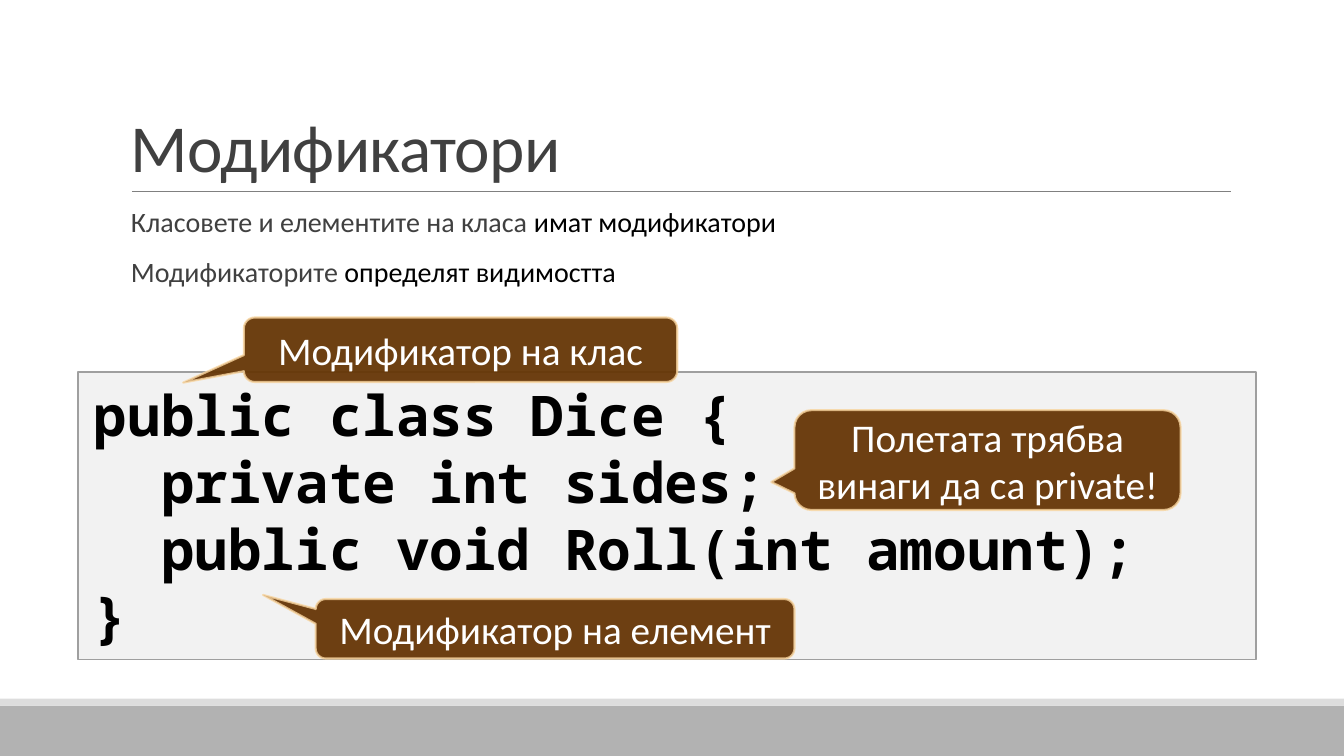
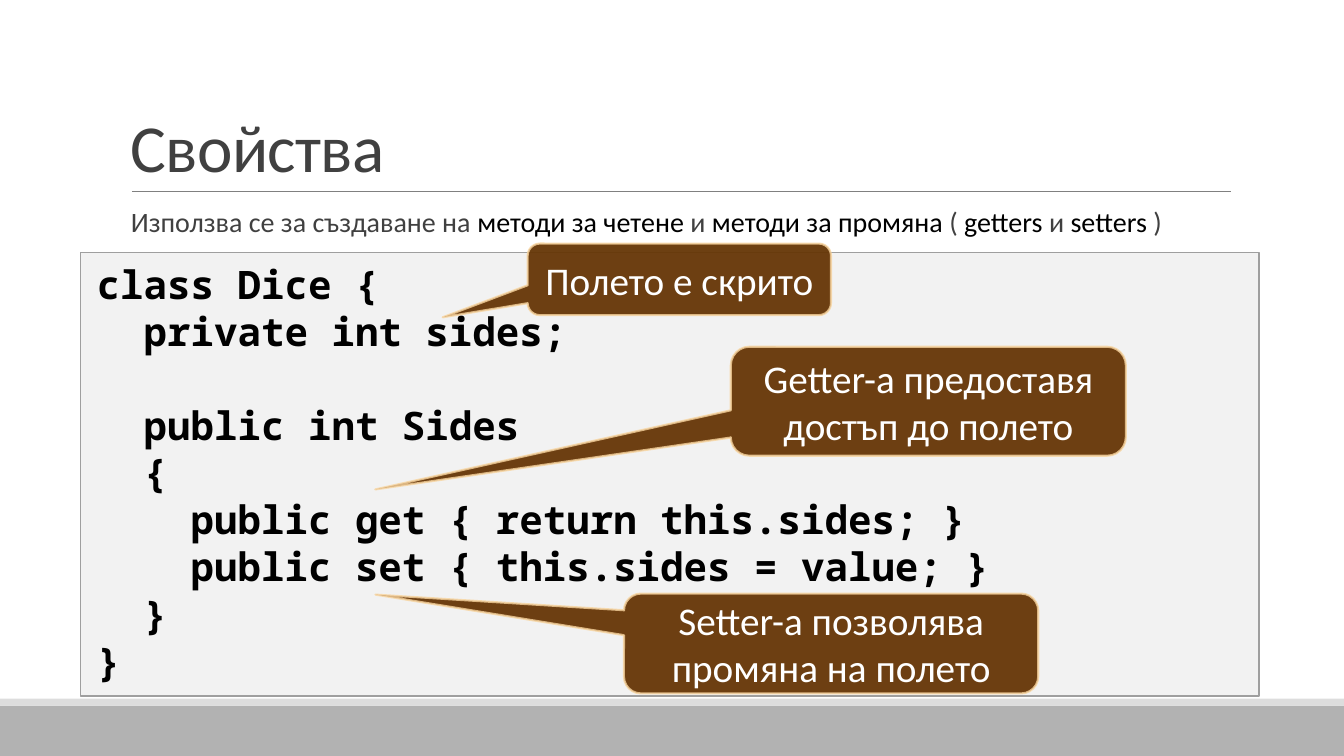
"""Two slides on class modifiers and properties, with annotated code."""
from dataclasses import dataclass

from lxml import etree
from pptx import Presentation
from pptx import util as u
from pptx.dml.color import RGBColor
from pptx.enum import shapes, text
from pptx.oxml.ns import qn

Pt = u.Pt


@dataclass(frozen=True)
class Theme:
    font: str = "Calibri"
    mono: str = "Noto Sans Mono"
    title: int = 48
    body: int = 20
    note: int = 28
    code_leading: float = 1.2
    ink: str = "404040"
    strong: str = "000000"
    white: str = "FFFFFF"
    rule: str = "808080"
    band: str = "B2B2B2"
    strip: str = "DDDDDD"
    panel: str = "BFBFBF"
    panel_line: str = "9F9F9F"
    callout: str = "663606"
    callout_line: str = "F8D49E"


T = Theme()
KIND = shapes.MSO_SHAPE


def add_text(tf, paras, size, font=T.font, bold=False, align=text.PP_ALIGN.LEFT,
             anchor=text.MSO_ANCHOR.TOP, inset=(7.2, 3.6), leading=None,
             before=0, after=0, tracking=0):
    """Fill a frame with paragraphs, each a list of (text, colour) runs."""
    tf.word_wrap = True
    tf.vertical_anchor = anchor
    tf.margin_left = tf.margin_right = Pt(inset[0])
    tf.margin_top = tf.margin_bottom = Pt(inset[1])
    gap = before
    for i, runs in enumerate(paras):
        if not runs:
            gap = before + leading.pt
            continue
        p = tf.add_paragraph() if i else tf.paragraphs[0]
        p.alignment = align
        p.line_spacing = leading
        p.space_before, p.space_after = Pt(gap), Pt(after)
        gap = before
        for words, colour in runs:
            r = p.add_run()
            r.text = words
            r.font.name, r.font.size, r.font.bold = font, Pt(size), bold
            r.font.color.rgb = RGBColor.from_string(colour)
            if tracking:
                r.font._element.set("spc", str(int(tracking * 100)))


def add_box(s, kind, box, fill, line=None, width=1, fill_alpha=100, line_alpha=100):
    """Add a flat shape with optional outline and opacity in percent."""
    sp = s.shapes.add_shape(kind, *map(Pt, box))
    sp.shadow.inherit = False
    paints = [(sp.fill, fill, fill_alpha)]
    sp.line.fill.background()
    if line:
        sp.line.width = Pt(width)
        paints.append((sp.line.fill, line, line_alpha))
    for paint, colour, alpha in paints:
        paint.solid()
        paint.fore_color.rgb = RGBColor.from_string(colour)
    for clr, (_, _, alpha) in zip(sp._element.spPr.iter(qn("a:srgbClr")), paints):
        if alpha < 100:
            etree.SubElement(clr, qn("a:alpha")).set("val", str(alpha * 1000))
    return sp


slides = [
    dict(
        title="Модификатори",
        body=[
            [("Класовете и елементите на класа ", T.ink), ("имат модификатори", T.strong)],
            [("Модификаторите ", T.ink), ("определят видимостта", T.strong)],
        ],
        panel=(55.6, 265.7, 841.7, 205.2),
        code_size=40,
        code="public class Dice {\n  private int sides;\n  public void Roll(int amount);\n}",
        callouts=[
            ("Модификатор на клас", (174.2, 226.8, 309.6, 46.1), (-0.64, 0.51)),
            ("Модификатор на елемент", (225.5, 427.9, 342, 42.5), (-0.61, -0.57)),
            ("Полетата трябва винаги да са private!", (567.5, 293, 275.8, 71.3), (-0.56, 0.22)),
        ],
    ),
    dict(
        title="Свойства",
        body=[[
            ("Използва се за създаване на ", T.ink), ("методи за четене ", T.strong),
            ("и ", T.ink), ("методи за промяна ", T.strong), ("( ", T.ink),
            ("getters ", T.strong), ("и ", T.ink), ("setters ", T.strong), (")", T.ink),
        ]],
        panel=(57.6, 180.4, 841.7, 316.8),
        code_size=28,
        code="""class Dice {
  private int sides;

  public int Sides
  {
    public get { return this.sides; }
    public set { this.sides = value; }
  }
}""",
        callouts=[
            ("Полето е скрито", (376.9, 174, 216.7, 51.1), (-0.78, 0.53)),
            ("Getter-а предоставя достъп до полето", (522, 247.7, 282.2, 77.8), (-1.4, 0.81)),
            ("Setter-а позволява промяна на полето", (445.7, 424, 295.9, 71.3), (-1.1, -0.49)),
        ],
    ),
]

prs = Presentation()
prs.slide_width, prs.slide_height = Pt(960), Pt(540)

for page in slides:
    s = prs.slides.add_slide(prs.slide_layouts[6])

    add_box(s, KIND.RECTANGLE, (0, 504, 960, 36), T.band)
    add_box(s, KIND.RECTANGLE, (0, 499, 960, 5), T.strip)
    rule = s.shapes.add_connector(shapes.MSO_CONNECTOR.STRAIGHT,
                                  Pt(94.3), Pt(136.8), Pt(879.1), Pt(136.8))
    rule.line.color.rgb = RGBColor.from_string(T.rule)
    rule.line.width = Pt(0.5)
    etree.SubElement(rule._element.spPr, qn("a:effectLst"))

    title = s.shapes.add_textbox(Pt(86.4), Pt(22.3), Pt(792), Pt(114.5))
    add_text(title.text_frame, [[(page["title"], T.ink)]], T.title,
             anchor=text.MSO_ANCHOR.BOTTOM, leading=0.85, tracking=-0.5)
    body = s.shapes.add_textbox(Pt(86.4), Pt(145.4), Pt(792), Pt(316.8))
    add_text(body.text_frame, page["body"], T.body, leading=0.9, before=12, after=2)

    panel = add_box(s, KIND.RECTANGLE, page["panel"], T.panel, T.panel_line, fill_alpha=20)
    code = [[(row, T.strong)] if row else [] for row in page["code"].split("\n")]
    add_text(panel.text_frame, code, page["code_size"], font=T.mono, bold=True,
             inset=(11.5, 5.8), leading=Pt(page["code_size"] * T.code_leading))

    for words, box, tip in page["callouts"]:
        sp = add_box(s, KIND.ROUNDED_RECTANGULAR_CALLOUT, box, T.callout,
                     T.callout_line, 1.5, fill_alpha=95, line_alpha=80)
        for i, value in enumerate((*tip, 0.17)):
            sp.adjustments[i] = value
        add_text(sp.text_frame, [[(words, T.white)]], T.note,
                 align=text.PP_ALIGN.CENTER, anchor=text.MSO_ANCHOR.MIDDLE)

prs.save("out.pptx")
